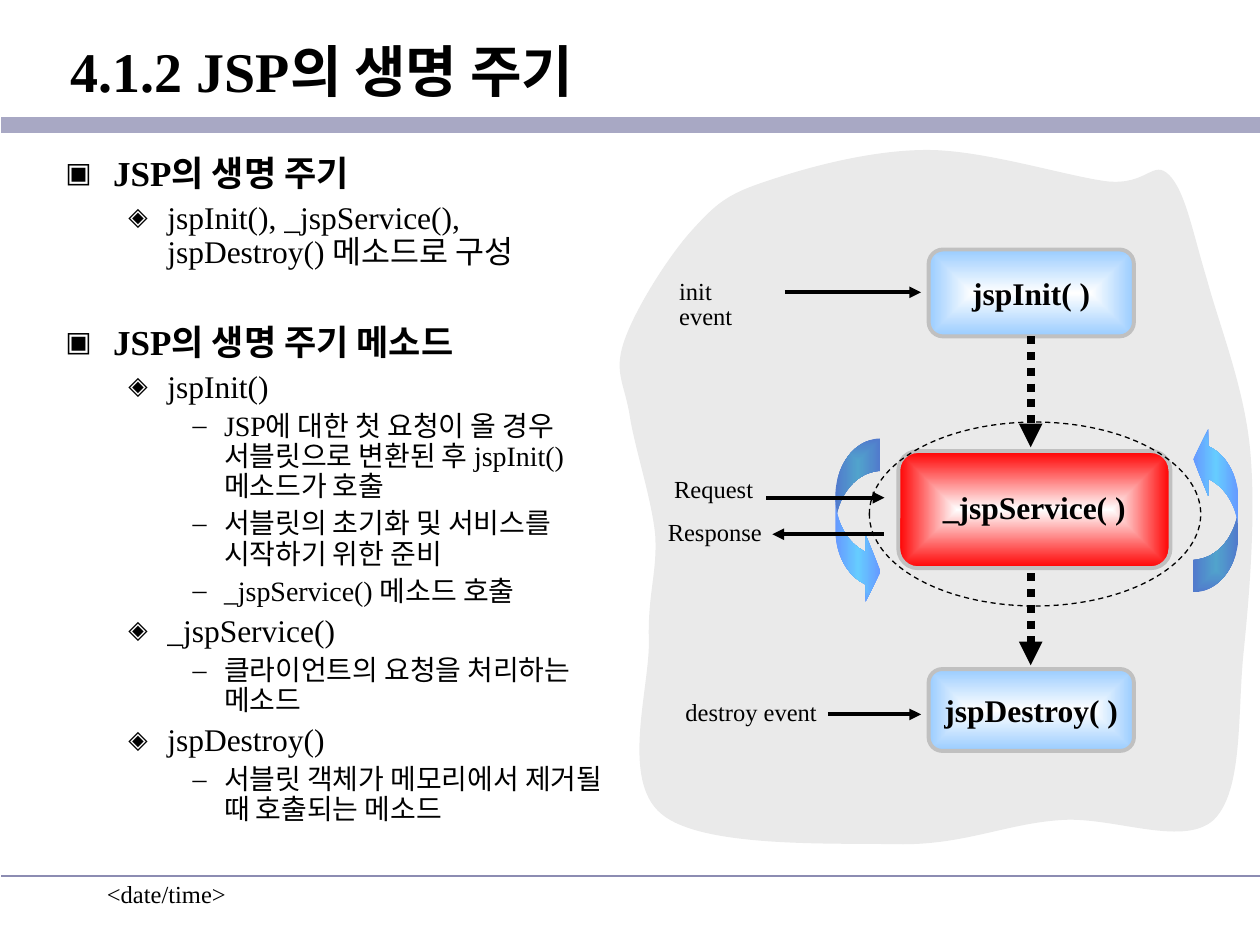
from dataclasses import dataclass
from typing import NamedTuple

from lxml.etree import SubElement
from pptx import Presentation
from pptx.dml.color import RGBColor
from pptx.enum.dml import MSO_LINE
from pptx.enum.shapes import MSO_CONNECTOR, MSO_SHAPE
from pptx.enum.text import MSO_ANCHOR, MSO_AUTO_SIZE, PP_ALIGN
from pptx.oxml.ns import qn
from pptx.util import Inches, Pt

COLUMNS, ROWS = 40, 30
CELL = Inches(0.25)


@dataclass(frozen=True)
class Theme:
    font: str = "Times New Roman"
    ink: str = "000000"
    band: str = "A8A8C4"
    rule: str = "8C8CB2"
    backdrop: str = "EAEAEA"
    border: str = "C0C0C0"
    white: str = "FFFFFF"
    sky: str = "99CCFF"
    red: str = "FF0000"
    cyan: str = "66CCFF"
    blue: str = "6699FF"
    title_size: float = 32
    method_size: float = 18
    label_size: float = 14


THEME = Theme()


class Area(NamedTuple):
    """A rectangle in grid columns and rows."""
    left: float
    top: float
    width: float
    height: float


class Level(NamedTuple):
    bullet: str
    bullet_percent: int
    margin: float
    hanging: float
    size: float
    space_before: float
    bold: bool


class Method(NamedTuple):
    text: str
    area: Area
    edge_color: str
    line_spacing: float


class Label(NamedTuple):
    text: str
    area: Area


class Line(NamedTuple):
    start: tuple
    end: tuple
    color: str = THEME.ink
    width: float = 2.25
    arrow: str = ""
    dash: MSO_LINE | None = None


HEADING = Level("▣", 80, 0.38, 0.38, 20, 5, True)
ITEM = Level("◈", 80, 0.81, 0.31, 18, 4.5, False)
DETAIL = Level("–", 100, 1.26, 0.25, 16, 4, False)
SECTION_GAP = 31.7

OUTLINE = [
    ("JSP의 생명 주기", HEADING),
    ("jspInit(), _jspService(), jspDestroy() 메소드로 구성", ITEM),
    ("JSP의 생명 주기 메소드", HEADING),
    ("jspInit()", ITEM),
    ("JSP에 대한 첫 요청이 올 경우 서블릿으로 변환된 후 jspInit() 메소드가 호출", DETAIL),
    ("서블릿의 초기화 및 서비스를 시작하기 위한 준비", DETAIL),
    ("_jspService() 메소드 호출", DETAIL),
    ("_jspService()", ITEM),
    ("클라이언트의 요청을 처리하는 메소드", DETAIL),
    ("jspDestroy()", ITEM),
    ("서블릿 객체가 메모리에서 제거될 때 호출되는 메소드", DETAIL),
]

RULES = [
    Line((0.04, 3.96), (COLUMNS, 3.96), THEME.band, 9.25),
    Line((0.04, 27.8), (COLUMNS, 27.8), THEME.rule, 1),
]
METHODS = [
    Method("jspInit( )", Area(29.48, 7.92, 6.52, 2.76), THEME.sky, 1),
    Method("_jspService( )", Area(28.52, 14.32, 8.64, 3.72), THEME.red, 0.85),
    Method("jspDestroy( )", Area(29.48, 21.24, 6.52, 2.6), THEME.sky, 1),
]
LABELS = [
    Label("init event", Area(21.36, 8.72, 3.12, 1.2)),
    Label("Request", Area(21.2, 15, 2.72, 1.2)),
    Label("Response", Area(21, 16.36, 3.2, 1.2)),
    Label("destroy event", Area(21.56, 22.08, 4.4, 1.2)),
]
EVENTS = [
    Line((24.32, 15.8), (28.08, 15.8), arrow="tailEnd"),
    Line((24.52, 16.96), (28.08, 16.96), arrow="headEnd"),
    Line((24.92, 9.28), (29.24, 9.28), arrow="tailEnd"),
    Line((26.28, 22.68), (29.24, 22.68), arrow="tailEnd"),
]
INIT_TO_SERVICE, SERVICE_TO_DESTROY = [
    Line((32.72, top), (32.72, bottom), THEME.ink, 4.5, "tailEnd", MSO_LINE.ROUND_DOT)
    for top, bottom in ((10.68, 14.2), (18.2, 21.12))
]
BACKDROP_START = (35.16, 5.76)
BACKDROP_CURVES = [
    ((33.88, 5.6), (31.24, 4.76), (29.44, 4.76)),
    ((27.64, 4.76), (25.6, 5.32), (24.32, 5.76)),
    ((23.08, 6.16), (22.72, 6.48), (21.96, 7.32)),
    ((21.2, 8.16), (20.12, 9.88), (19.8, 10.88)),
    ((19.48, 11.84), (19.84, 12.2), (20, 13.24)),
    ((20.16, 14.24), (20.68, 15.8), (20.8, 16.96)),
    ((20.88, 18.16), (20.56, 18.84), (20.6, 20.32)),
    ((20.64, 21.8), (19.68, 24.76), (21, 25.84)),
    ((22.28, 26.92), (26.36, 26.76), (28.48, 26.8)),
    ((30.56, 26.84), (31.92, 26.16), (33.6, 26.04)),
    ((35.24, 25.88), (37.52, 26.92), (38.52, 26.04)),
    ((39.48, 25.12), (39.28, 22.68), (39.48, 20.72)),
    ((39.68, 18.76), (39.88, 16.2), (39.68, 14.2)),
    ((39.48, 12.24), (38.72, 10.36), (38.32, 8.88)),
    ((37.88, 7.44), (37.64, 6.08), (37.12, 5.56)),
    ((36.6, 5.04), (36.44, 5.88), BACKDROP_START),
]


def cells(*lengths: float) -> list[int]:
    return [round(length * CELL) for length in lengths]


def write(para, text: str, *, size: float, bold: bool = False,
          align: PP_ALIGN = PP_ALIGN.LEFT, line_spacing: float = 1,
          space_before: float = 0) -> None:
    para.alignment = align
    para.line_spacing = line_spacing
    para.space_before = Pt(space_before)
    span = para.add_run()
    span.text = text
    span.font.name, span.font.size, span.font.bold = THEME.font, Pt(size), bold
    span.font.color.rgb = RGBColor.from_string(THEME.ink)


def add_text_box(page, area: Area, *, wrap: bool = True, left: float = 0.1,
                 right: float = 0.1, anchor: MSO_ANCHOR = MSO_ANCHOR.TOP):
    frame = page.shapes.add_textbox(*cells(*area)).text_frame
    frame.word_wrap, frame.vertical_anchor = wrap, anchor
    frame.auto_size = MSO_AUTO_SIZE.NONE if wrap else MSO_AUTO_SIZE.SHAPE_TO_FIT_TEXT
    frame.margin_left, frame.margin_right = Inches(left), Inches(right)
    return frame


def set_bullet(para, level: Level) -> None:
    properties = para._p.get_or_add_pPr()
    properties.set("marL", str(Inches(level.margin)))
    properties.set("indent", str(-Inches(level.hanging)))
    color = SubElement(properties, qn("a:buClr"))
    SubElement(color, qn("a:srgbClr"), val=THEME.ink)
    SubElement(properties, qn("a:buSzPct"), val=str(level.bullet_percent * 1000))
    SubElement(properties, qn("a:buFont"), typeface=THEME.font)
    SubElement(properties, qn("a:buChar"), char=level.bullet)


def add_outline(page) -> None:
    frame = add_text_box(page, Area(1.68, 4.76, 18.12, 22.84))
    for index, (text, level) in enumerate(OUTLINE):
        para = frame.add_paragraph() if index else frame.paragraphs[0]
        gap = SECTION_GAP if level is HEADING else level.space_before
        set_bullet(para, level)
        write(para, text, size=level.size, bold=level.bold, line_spacing=0.9,
              space_before=gap if index else 0)


def add_line(page, line: Line) -> None:
    connector = page.shapes.add_connector(
        MSO_CONNECTOR.STRAIGHT, *cells(*line.start, *line.end))
    connector.line.color.rgb = RGBColor.from_string(line.color)
    connector.line.width = Pt(line.width)
    if line.dash:
        connector.line.dash_style = line.dash
    if line.arrow:
        SubElement(connector.line._get_or_add_ln(), qn(f"a:{line.arrow}"), type="triangle")
    SubElement(connector._element.spPr, qn("a:effectLst"))


def fill_from_center(shape, center: str, edge: str) -> None:
    """Apply a rectangular gradient that spreads from the middle."""
    shape.fill.gradient()
    for stop, color, position in zip(shape.fill.gradient_stops, (center, edge), (0, 1)):
        stop.color.rgb = RGBColor.from_string(color)
        stop.position = position
    gradient = shape._element.spPr.find(qn("a:gradFill"))
    gradient.remove(gradient.find(qn("a:lin")))
    spread = SubElement(gradient, qn("a:path"), {"path": "rect"})
    SubElement(spread, qn("a:fillToRect"), dict.fromkeys("ltrb", "50000"))


def add_method(page, method: Method) -> None:
    box = page.shapes.add_shape(MSO_SHAPE.ROUNDED_RECTANGLE, *cells(*method.area))
    box.shadow.inherit = False
    fill_from_center(box, THEME.white, method.edge_color)
    box.line.color.rgb = RGBColor.from_string(THEME.border)
    box.line.width = Pt(2.25)
    box.text_frame.word_wrap = False
    box.text_frame.vertical_anchor = MSO_ANCHOR.MIDDLE
    write(box.text_frame.paragraphs[0], method.text, size=THEME.method_size, bold=True,
          align=PP_ALIGN.CENTER, line_spacing=method.line_spacing)


def add_cycle_arrow(page, area: Area, rotation: float) -> None:
    arrow = page.shapes.add_shape(MSO_SHAPE.CURVED_RIGHT_ARROW, *cells(*area))
    arrow.shadow.inherit = False
    for index, share in enumerate((0.72, 1.47, 0.33)):
        arrow.adjustments[index] = share
    arrow.rotation = rotation
    fill_from_center(arrow, THEME.cyan, THEME.blue)
    arrow.line.fill.background()


def add_backdrop(page) -> None:
    """Draw the backdrop, then bend each straight side into its curve."""
    builder = page.shapes.build_freeform(*cells(*BACKDROP_START))
    builder.add_line_segments([cells(*curve[-1]) for curve in BACKDROP_CURVES], close=True)
    backdrop = builder.convert_to_shape()
    sides = list(backdrop._element.iter(qn("a:lnTo")))
    for side, curve in zip(sides, BACKDROP_CURVES):
        side.tag = qn("a:cubicBezTo")
        side.remove(side[0])
        for x, y in (cells(*point) for point in curve):
            SubElement(side, qn("a:pt"), x=str(x - backdrop.left), y=str(y - backdrop.top))
    backdrop.shadow.inherit = False
    backdrop.fill.solid()
    backdrop.fill.fore_color.rgb = RGBColor.from_string(THEME.backdrop)
    backdrop.line.fill.background()


def add_service_loop(page) -> None:
    loop = page.shapes.add_shape(MSO_SHAPE.OVAL, *cells(27.6, 13.4, 10.52, 5.84))
    loop.shadow.inherit = False
    loop.fill.background()
    loop.line.color.rgb = RGBColor.from_string(THEME.ink)
    loop.line.width = Pt(0.75)
    loop.line.dash_style = MSO_LINE.DASH


def main() -> None:
    deck = Presentation()
    deck.slide_width, deck.slide_height = cells(COLUMNS, ROWS)
    page = deck.slides.add_slide(deck.slide_layouts[6])
    date = add_text_box(page, Area(3, 27.72, 8.32, 2))
    write(date.paragraphs[0], "<date/time>", size=THEME.label_size)
    for rule in RULES:
        add_line(page, rule)
    title = add_text_box(page, Area(0.04, 0.44, 39.96, 3.6), left=0.55,
                         anchor=MSO_ANCHOR.MIDDLE)
    write(title.paragraphs[0], "4.1.2 JSP의 생명 주기", size=THEME.title_size, bold=True)
    add_outline(page)
    add_backdrop(page)
    add_line(page, SERVICE_TO_DESTROY)
    for method in METHODS:
        add_method(page, method)
    add_cycle_arrow(page, Area(37.88, 13.52, 1.44, 5.28), 180)
    add_cycle_arrow(page, Area(26.52, 13.92, 1.44, 5.28), 0)
    add_service_loop(page)
    add_line(page, INIT_TO_SERVICE)
    for label in LABELS:
        frame = add_text_box(page, label.area, wrap=False, left=0.05, right=0)
        write(frame.paragraphs[0], label.text, size=THEME.label_size, line_spacing=0.85)
    for event in EVENTS:
        add_line(page, event)
    deck.save("out.pptx")


if __name__ == "__main__":
    main()
